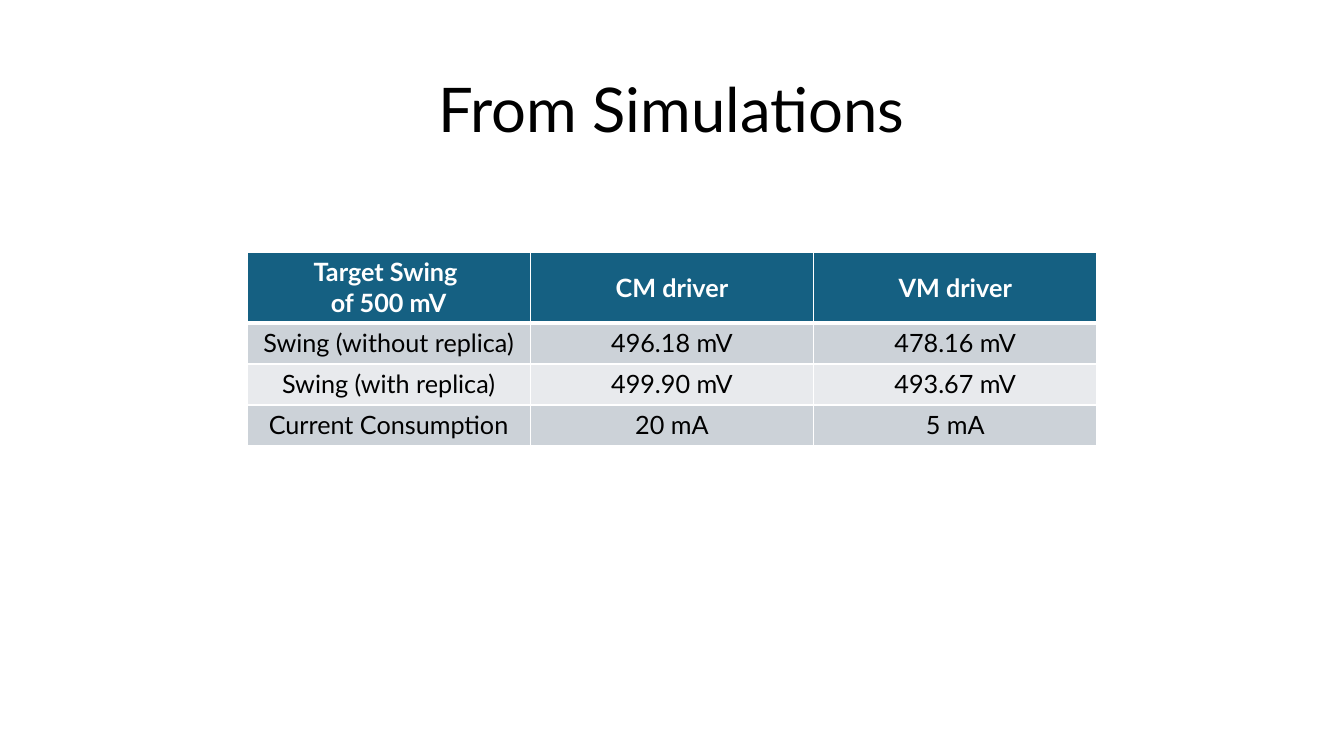
"""Build the slide that compares simulated CM and VM driver results."""
from dataclasses import dataclass

from lxml.etree import SubElement
from pptx import Presentation
from pptx.dml.color import RGBColor
from pptx.enum.text import MSO_ANCHOR, PP_ALIGN
from pptx.oxml.ns import qn
from pptx.util import Pt

TITLE = "From Simulations"
RESULTS = [
    ("Target Swing \vof 500 mV", "CM driver", "VM driver"),
    ("Swing (without replica)", "496.18 mV", "478.16 mV"),
    ("Swing (with replica)", "499.90 mV", "493.67 mV"),
    ("Current Consumption", "20 mA", "5 mA"),
]
SLIDE_SIZE = (1344, 756)
TITLE_BOX = (92, 40, 1159, 146)
RESULTS_LEFT, RESULTS_TOP, RESULTS_WIDTH = 247, 252, 850
HEADER_HEIGHT, BODY_HEIGHT = 71, 41


@dataclass(frozen=True)
class Theme:
    """Colours, font and type sizes of the slide."""
    font: str = "Lato"
    title_size: int = 44
    table_size: int = 18
    text: str = "000000"
    light: str = "FFFFFF"
    header: str = "156082"
    bands: tuple = ("E8EAED", "CCD2D8")
    rule: int = 1
    header_rule: int = 3


THEME = Theme()


def px(length):
    """Turn px into EMU."""
    return round(length * 914400 / 100.8)


def write(frame, text, *, size, color=THEME.text, bold=False, spacing=None):
    """Fill a text frame with one centred, formatted paragraph."""
    frame.text = text
    paragraph = frame.paragraphs[0]
    paragraph.alignment = PP_ALIGN.CENTER
    paragraph.line_spacing = spacing
    for run in paragraph.runs:
        run.font.name = THEME.font
        run.font.size = Pt(size)
        run.font.bold = bold
        run.font.color.rgb = RGBColor.from_string(color)


def draw_borders(cell, top, bottom):
    """Rule the four sides of a cell, with widths in points."""
    properties = cell._tc.get_or_add_tcPr()
    widths = {"a:lnL": THEME.rule, "a:lnR": THEME.rule, "a:lnT": top, "a:lnB": bottom}
    for side, width in widths.items():
        line = SubElement(properties, qn(side), w=str(Pt(width)))
        fill = SubElement(line, qn("a:solidFill"))
        SubElement(fill, qn("a:srgbClr"), val=THEME.light)


def add_results(slide):
    """Add the table of simulation results."""
    heights = [HEADER_HEIGHT] + [BODY_HEIGHT] * (len(RESULTS) - 1)
    bounds = (RESULTS_LEFT, RESULTS_TOP, RESULTS_WIDTH, sum(heights))
    results = slide.shapes.add_table(
        len(RESULTS), len(RESULTS[0]), *map(px, bounds)).table
    for column in results.columns:
        column.width = px(RESULTS_WIDTH / len(RESULTS[0]))
    for row_index, values in enumerate(RESULTS):
        results.rows[row_index].height = px(heights[row_index])
        is_header = row_index == 0
        fill = THEME.header if is_header else THEME.bands[row_index % 2]
        top = THEME.header_rule if row_index == 1 else THEME.rule
        bottom = THEME.header_rule if is_header else THEME.rule
        for column_index, value in enumerate(values):
            cell = results.cell(row_index, column_index)
            draw_borders(cell, top, bottom)
            cell.fill.solid()
            cell.fill.fore_color.rgb = RGBColor.from_string(fill)
            if is_header and column_index:
                cell.vertical_anchor = MSO_ANCHOR.MIDDLE
            write(cell.text_frame, value, size=THEME.table_size, bold=is_header,
                  color=THEME.light if is_header else THEME.text)


def main():
    """Build and save the presentation."""
    deck = Presentation()
    deck.slide_width, deck.slide_height = map(px, SLIDE_SIZE)
    slide = deck.slides.add_slide(deck.slide_layouts[5])
    title = slide.shapes.title
    title.left, title.top, title.width, title.height = map(px, TITLE_BOX)
    title.text_frame.vertical_anchor = MSO_ANCHOR.MIDDLE
    write(title.text_frame, TITLE, size=THEME.title_size, spacing=0.9)
    add_results(slide)
    deck.save("out.pptx")


if __name__ == "__main__":
    main()
